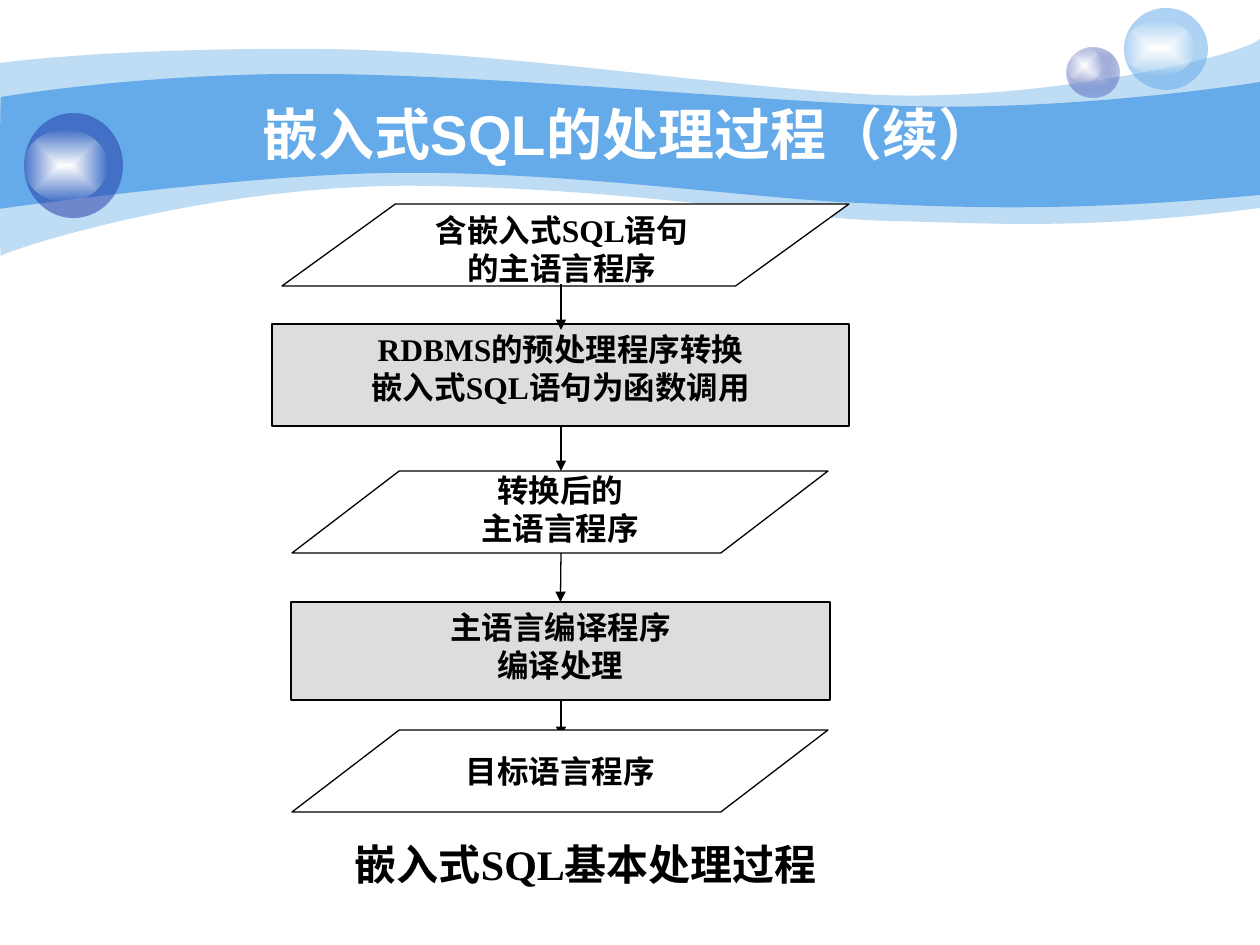
"""Build the slide showing how embedded SQL is processed."""
from dataclasses import dataclass

from lxml.etree import SubElement
from pptx import Presentation
from pptx.dml.color import RGBColor as Rgb
from pptx.enum.shapes import MSO_CONNECTOR as Link, MSO_SHAPE as Kind
from pptx.enum.text import MSO_ANCHOR as Anchor, MSO_AUTO_SIZE as Fit, PP_ALIGN as Align
from pptx.oxml.ns import qn
from pptx.util import Emu, Pt

EMU_PER_PX = 914400 / 126
TITLE_ONLY = 5
AXIS_X = 561


@dataclass(frozen=True)
class Theme:
    """Colours, fonts and type sizes of the slide."""
    sky: Rgb = Rgb(0x65, 0xAA, 0xE9)
    navy: Rgb = Rgb(0x23, 0x3D, 0xA9)
    lilac: Rgb = Rgb(0xC7, 0xCE, 0xE9)
    white: Rgb = Rgb(0xFF, 0xFF, 0xFF)
    black: Rgb = Rgb(0, 0, 0)
    grey: Rgb = Rgb(0xDD, 0xDD, 0xDD)
    title_font: str = "Arial"
    body_font: str = "Times New Roman"
    title_size: Pt = Pt(32)
    step_size: Pt = Pt(18)
    caption_size: Pt = Pt(24)
    outline: Pt = Pt(0.75)


THEME = Theme()
TITLE_TYPE = {"name": THEME.title_font, "size": THEME.title_size, "bold": True}
STEP_TYPE = {"name": THEME.body_font, "size": THEME.step_size, "bold": True}
CAPTION_TYPE = {**STEP_TYPE, "size": THEME.caption_size}

PALE_WAVE = [
    [(0, 63)],
    [(30, 59), (135, 48), (311, 49)],
    [(486, 49), (725, 88), (881, 95)],
    [(1036, 101), (1235, 59), (1260, 39)],
    [(1260, 208)],
    [(1081, 231), (992, 223), (888, 221)],
    [(784, 218), (649, 190), (432, 186)],
    [(217, 181), (5, 251), (1, 256)],
    [(-1, 262), (0, 95), (0, 63)],
]
DEEP_WAVE = [
    [(1, 97)],
    [(3, 97), (139, 73), (312, 74)],
    [(486, 74), (750, 101), (905, 106)],
    [(1060, 111), (1230, 87), (1260, 82)],
    [(1260, 195)],
    [(1075, 212), (964, 208), (859, 203)],
    [(755, 199), (563, 171), (399, 173)],
    [(256, 173), (-3, 209), (-1, 209)],
    [(0, 209), (0, 97), (1, 97)],
]


def px(*lengths):
    """Turn px lengths into EMU."""
    return [Emu(round(length * EMU_PER_PX)) for length in lengths]


def apply(target, values):
    """Set each attribute of the target from a dict."""
    for name, value in values.items():
        setattr(target, name, value)


def set_opacity(color_node, percent):
    """Give a colour element an opacity."""
    SubElement(color_node, qn("a:alpha"), val=str(percent * 1000))


def fill_solid(shape, color, opacity=100):
    """Fill a shape with one colour."""
    shape.fill.solid()
    shape.fill.fore_color.rgb = color
    if opacity < 100:
        set_opacity(next(shape.element.spPr.iter(qn("a:srgbClr"))), opacity)


def fill_glow(shape, centre, edge, edge_opacity):
    """Fill a shape with a gradient that runs from its centre to its edge."""
    shape.fill.gradient()
    for stop, color in zip(shape.fill.gradient_stops, (centre, edge)):
        stop.color.rgb = color
    gradient = shape.element.spPr.find(qn("a:gradFill"))
    set_opacity(list(gradient.iter(qn("a:srgbClr")))[-1], edge_opacity)
    gradient.remove(gradient.find(qn("a:lin")))
    radial = SubElement(gradient, qn("a:path"), path="rect")
    SubElement(radial, qn("a:fillToRect"), dict.fromkeys("ltrb", "50000"))


def bend(shape, segments):
    """Join each three-point segment of an outline into one cubic curve."""
    lines = iter(list(shape.element.spPr.iter(qn("a:lnTo"))))
    for segment in segments:
        first, *others = [next(lines) for _ in segment]
        if not others:
            continue
        outline = first.getparent()
        curve = SubElement(outline, qn("a:cubicBezTo"))
        outline.replace(first, curve)
        curve.append(first[0])
        for line in others:
            curve.append(line[0])
            outline.remove(line)


def add_wave(slide, segments, opacity=100):
    """Draw one band of the banner."""
    (start,), *rest = segments
    builder = slide.shapes.build_freeform(*start, scale=EMU_PER_PX)
    builder.add_line_segments([point for segment in rest for point in segment], close=True)
    wave = builder.convert_to_shape()
    bend(wave, rest)
    wave.shadow.inherit = False
    wave.line.fill.background()
    fill_solid(wave, THEME.sky, opacity)


def add_disc(slide, box):
    """Add an ellipse without outline."""
    disc = slide.shapes.add_shape(Kind.OVAL, *px(*box))
    disc.shadow.inherit = False
    disc.line.fill.background()
    return disc


def add_bubble(slide, body, shine, color, opacity):
    """Add a translucent ball with a white shine."""
    fill_solid(add_disc(slide, body), color, opacity)
    fill_glow(add_disc(slide, shine), THEME.white, THEME.white, 0)


def add_scenery(slide):
    """Draw the banner and its bubbles."""
    add_wave(slide, PALE_WAVE, 41)
    add_wave(slide, DEEP_WAVE)
    fill_glow(add_disc(slide, (1067, 48, 53, 50)), THEME.lilac, THEME.navy, 31)
    fill_glow(add_disc(slide, (1067, 48, 35, 34)), THEME.white, THEME.white, 0)
    add_bubble(slide, (1124, 8, 84, 82), (1124, 21, 71, 54), THEME.sky, 53)
    add_bubble(slide, (24, 113, 99, 105), (24, 130, 83, 71), THEME.navy, 53)


def write(shape, lines, type_values, color=THEME.black, margins=(13, 6), anchor=Anchor.TOP):
    """Write centred lines into a shape."""
    frame = shape.text_frame
    side, edge = px(*margins)
    apply(frame, {"word_wrap": True, "vertical_anchor": anchor, "margin_left": side,
                  "margin_right": side, "margin_top": edge, "margin_bottom": edge})
    frame.text = "\n".join(lines)
    for paragraph in frame.paragraphs:
        paragraph.alignment = Align.CENTER
        for run in paragraph.runs:
            apply(run.font, type_values)
            run.font.color.rgb = color


def add_title(slide, text):
    """Place the title in front of the banner."""
    title = slide.shapes.title
    apply(title, dict(zip(("left", "top", "width", "height"), px(126, 94, 1018, 78))))
    write(title, [text], TITLE_TYPE, THEME.white, anchor=Anchor.MIDDLE)
    title.element.getparent().append(title.element)


def add_node(slide, kind, box, fill, outlined=True):
    """Add one flowchart shape."""
    node = slide.shapes.add_shape(kind, *px(*box))
    node.shadow.inherit = False
    fill_solid(node, fill)
    if outlined:
        node.line.color.rgb = THEME.black
        node.line.width = THEME.outline
    else:
        node.line.fill.background()
    return node


def add_process(slide, box, lines):
    """Add a grey processing step."""
    process = add_node(slide, Kind.FLOWCHART_PROCESS, box, THEME.grey)
    write(process, lines, STEP_TYPE)
    return process


def add_data(slide, box, lines=(), anchor=Anchor.TOP):
    """Add a white input or output step."""
    data = add_node(slide, Kind.FLOWCHART_DATA, box, THEME.white)
    if lines:
        write(data, lines, STEP_TYPE, margins=(5, 0), anchor=anchor)


def add_arrow(slide, top, bottom, target=None):
    """Add a downward arrow on the flow axis."""
    arrow = slide.shapes.add_connector(Link.STRAIGHT, *px(AXIS_X, top, AXIS_X, bottom))
    arrow.line.color.rgb = THEME.black
    arrow.line.width = THEME.outline
    properties = arrow.element.spPr
    SubElement(properties.find(qn("a:ln")), qn("a:tailEnd"), type="triangle")
    SubElement(properties, qn("a:effectLst"))
    if target is not None:
        arrow.end_connect(target, 0)


def add_flow(slide):
    """Draw the steps from source program to target program."""
    add_arrow(slide, 680, 737)
    add_arrow(slide, 413, 471)
    add_process(slide, (272, 324, 577, 102), ["RDBMS的预处理程序转换", "嵌入式SQL语句为函数调用"])
    add_data(slide, (282, 204, 567, 82))
    compiling = add_process(slide, (291, 602, 539, 98), ["主语言编译程序", "编译处理"])
    add_data(slide, (292, 471, 536, 82), ["转换后的", "主语言程序"])
    caption = add_node(slide, Kind.RECTANGLE, (184, 839, 804, 40), THEME.white, outlined=False)
    write(caption, ["嵌入式SQL基本处理过程"], CAPTION_TYPE, margins=(5, 0))
    source = slide.shapes.add_textbox(*px(247, 205, 630, 88))
    write(source, ["含嵌入式SQL语句", "的主语言程序"], STEP_TYPE)
    source.text_frame.auto_size = Fit.SHAPE_TO_FIT_TEXT
    add_arrow(slide, 553, 602, compiling)
    add_arrow(slide, 284, 330)
    add_data(slide, (292, 730, 536, 82), ["目标语言程序"], Anchor.MIDDLE)


def main():
    """Build and save the presentation."""
    deck = Presentation()
    deck.slide_width, deck.slide_height = px(1260, 945)
    slide = deck.slides.add_slide(deck.slide_layouts[TITLE_ONLY])
    add_scenery(slide)
    add_title(slide, "嵌入式SQL的处理过程（续） ")
    add_flow(slide)
    deck.save("out.pptx")


if __name__ == "__main__":
    main()
